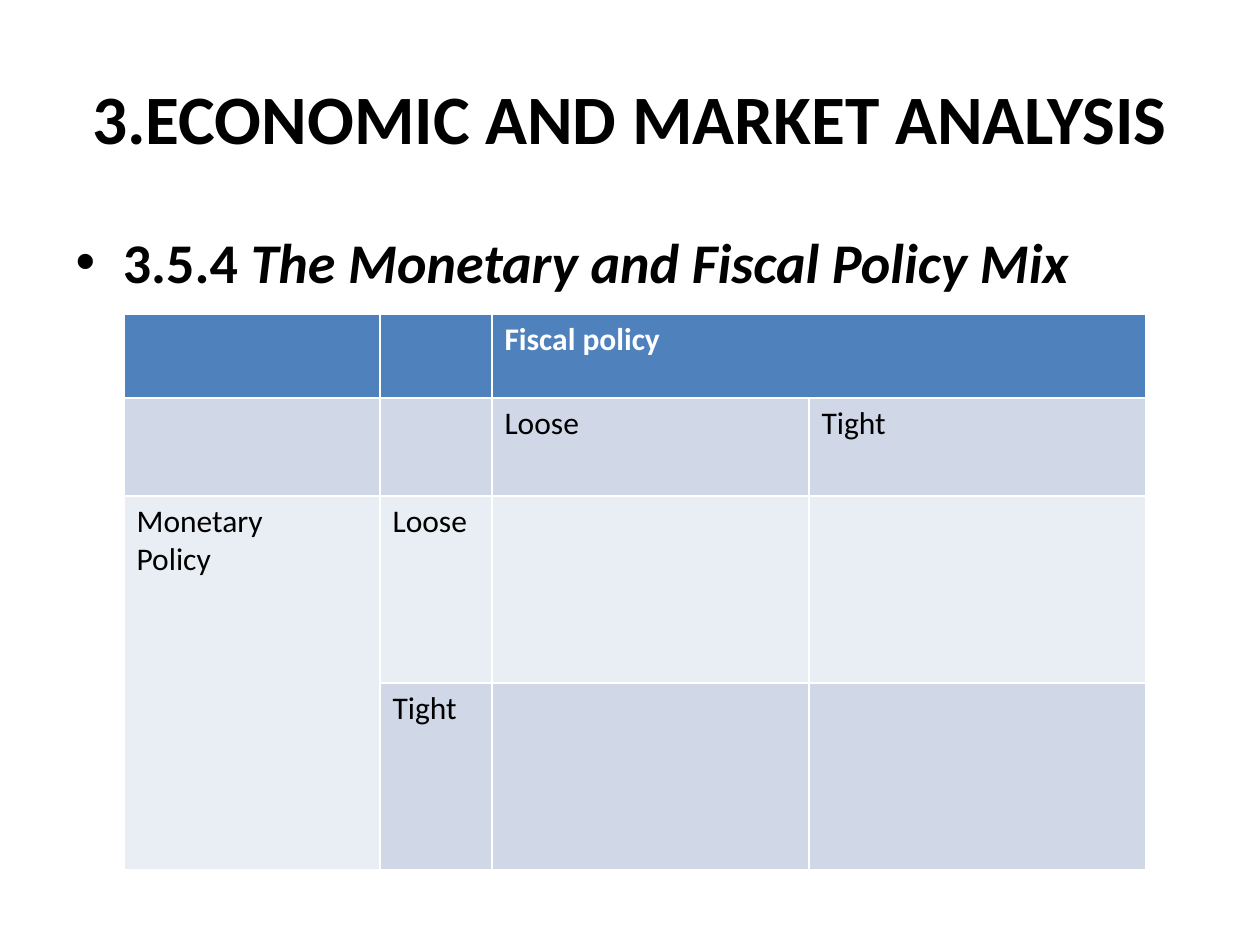
"""Build the slide on the mix of monetary and fiscal policy."""
from pptx import Presentation
from pptx import util as u
from pptx.dml.color import RGBColor
from pptx.enum import text

PIXEL = 914400 // 126
COLORS = {"black": "000000", "white": "FFFFFF", "header": "4F81BD",
          "dark_band": "D0D8E8", "light_band": "E9EDF4"}


def box(*pixels):
    return [u.Emu(round(value * PIXEL)) for value in pixels]


def format_run(run, size, color="black", bold=False, italic=False):
    font = run.font
    font.name, font.size = "Calibri", u.Pt(size)
    font.bold, font.italic = bold, italic
    font.color.rgb = RGBColor.from_string(COLORS[color])


presentation = Presentation()
presentation.slide_width, presentation.slide_height = u.Inches(10), u.Inches(7.5)
slide = presentation.slides.add_slide(presentation.slide_layouts[1])

title, body = slide.placeholders
for placeholder, place in ((title, (63, 38, 1134, 158)), (body, (63, 221, 1134, 624))):
    placeholder.left, placeholder.top, placeholder.width, placeholder.height = box(*place)

title.text_frame.text = "3.ECONOMIC AND MARKET ANALYSIS"
title.text_frame.vertical_anchor = text.MSO_ANCHOR.MIDDLE
title.text_frame.paragraphs[0].alignment = text.PP_ALIGN.CENTER
format_run(title.text_frame.paragraphs[0].runs[0], 39.6, bold=True)

heading = body.text_frame.paragraphs[0]
for words, italic in (("3.5.4 ", False), ("The Monetary and Fiscal Policy Mix", True)):
    run = heading.add_run()
    run.text = words
    format_run(run, 32, bold=True, italic=italic)

column_widths = box(256, 112, 317, 337)
row_heights = box(84, 98, 187, 187)
rows = [
    ("header", ["", "", "Fiscal policy", ""]),
    ("dark_band", ["", "", "Loose", "Tight"]),
    ("light_band", ["Monetary\nPolicy", "Loose", "", ""]),
    ("dark_band", ["", "Tight", "", ""]),
]
policy_table = slide.shapes.add_table(
    len(rows), len(column_widths), *box(124, 314),
    sum(column_widths), sum(row_heights)).table
for column, width in zip(policy_table.columns, column_widths):
    column.width = width

for row, height, (band, labels) in zip(policy_table.rows, row_heights, rows):
    row.height = height
    is_header = band == "header"
    for cell, label in zip(row.cells, labels):
        cell.fill.solid()
        cell.fill.fore_color.rgb = RGBColor.from_string(COLORS[band])
        cell.text_frame.text = label
        for paragraph in cell.text_frame.paragraphs:
            for run in paragraph.runs:
                format_run(run, 18, "white" if is_header else "black", bold=is_header)

policy_table.cell(0, 2).merge(policy_table.cell(0, 3))
policy_table.cell(2, 0).merge(policy_table.cell(3, 0))

presentation.save("out.pptx")
